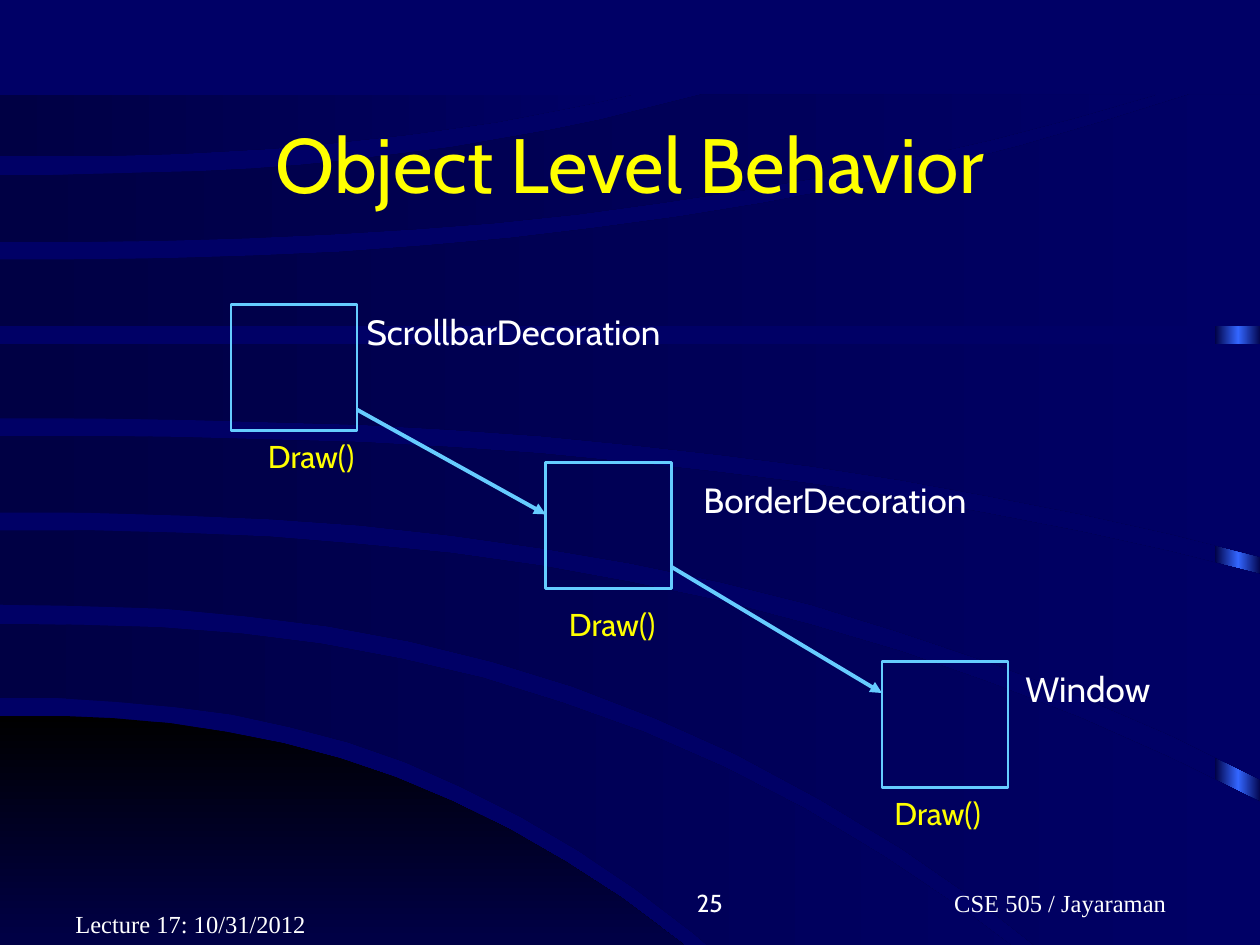
from copy import deepcopy
from dataclasses import dataclass

from pptx import Presentation
from pptx.dml.color import RGBColor
from pptx.enum.shapes import MSO_CONNECTOR, MSO_SHAPE
from pptx.enum.text import MSO_ANCHOR, MSO_AUTO_SIZE, PP_ALIGN
from pptx.oxml.ns import qn
from pptx.oxml.xmlchemy import OxmlElement
from pptx.util import Cm, Pt


@dataclass(frozen=True)
class Theme:
    background: str = "000066"
    band_dark: str = "000044"
    dome_dark: str = "000000"
    glow: str = "3366FF"
    accent: str = "66CCFF"
    text: str = "FFFFFF"
    highlight: str = "FFFF00"
    font: str = "Cabin"
    footer_font: str = "Times New Roman"
    title_size: int = 44
    label_size: int = 20
    method_size: int = 18
    footer_size: int = 14
    box_line: float = 1.5
    arrow_line: float = 2.25


THEME = Theme()
GRID = Cm(2.54) // 100  # unit of the backdrop outlines
EDGE_STEPS = 14
EDGE_POWER = 2.4

# Upper and lower edge of each outline: start height, end x, end height.
DOME = ((568, 629, 827), (827, 629, 827))
BANDS = [
    ((495, 894, 825), (554, 643, 825)),
    ((421, 1001, 637), (480, 910, 825)),
    ((346, 1001, 456), (407, 1001, 619)),
    ((273, 1001, 273), (332, 1001, 442)),
    ((206, 944, 75), (259, 1001, 259)),
    ((139, 557, 75), (192, 918, 75)),
    ((75, 502, 75), (124, 502, 75)),
]

BOX_SIDE = 2.54
# Corner of the box, place and width of its label, corner of its method, in cm.
OBJECTS = [
    ("ScrollbarDecoration", (4.66, 6.14), (7.14, 6.14, 7.11), (5.15, 8.68)),
    ("BorderDecoration", (11, 9.32), (13.93, 9.53, 6.48), (11.22, 12.07)),
    ("Window", (17.78, 13.34), (20.42, 13.34, 3.2), (17.78, 15.88)),
]
CALLS = [((7.2, 8.26), (11, 10.37)), ((13.54, 11.43), (17.78, 13.97))]


def rgb(color):
    return RGBColor.from_string(color)


def fill_gradient(shape, colors, angle=0):
    """Fill with evenly spaced colours; the angle runs counter-clockwise."""
    shape.shadow.inherit = False
    shape.line.fill.background()
    shape.fill.gradient()
    shape.fill.gradient_angle = angle
    stop_list = shape._element.spPr.find(qn("a:gradFill")).find(qn("a:gsLst"))
    for _ in colors[2:]:
        stop_list.append(deepcopy(stop_list[-1]))
    for index, (stop, color) in enumerate(zip(shape.fill.gradient_stops, colors)):
        stop.color.rgb = rgb(color)
        stop.position = index / (len(colors) - 1)


def edge_points(start_height, end_x, end_height):
    """Points of a curve that leaves the left side level and bends away."""
    shares = [step / EDGE_STEPS for step in range(EDGE_STEPS + 1)]
    return [(end_x * share, start_height + (end_height - start_height) * share ** EDGE_POWER)
            for share in shares]


def add_outline(slide, edges, colors, angle=0):
    """Draw the area between two edges, squared off where one ends earlier."""
    upper, lower = (edge_points(*edge) for edge in edges)
    (near_x, near_height), (far_x, _) = sorted([upper[-1], lower[-1]])
    points = upper + [(far_x, near_height)] * (far_x > near_x) + lower[::-1]
    builder = slide.shapes.build_freeform(*points[0], scale=GRID)
    builder.add_line_segments(points[1:], close=True)
    fill_gradient(builder.convert_to_shape(), colors, angle)


def add_backdrop(slide):
    slide.background.fill.solid()
    slide.background.fill.fore_color.rgb = rgb(THEME.background)
    strip = slide.shapes.add_shape(
        MSO_SHAPE.RECTANGLE, Cm(24.49), Cm(1.96), Cm(0.94), Cm(19.05))
    fill_gradient(strip, [THEME.band_dark, THEME.glow, THEME.band_dark])
    add_outline(slide, DOME, [THEME.dome_dark, THEME.background], 270)
    for band in BANDS:
        add_outline(slide, band, [THEME.band_dark, THEME.background])


def add_text(slide, text, place, size, color=THEME.text, font=THEME.font,
             align=PP_ALIGN.LEFT, anchor=MSO_ANCHOR.TOP, wrap=True):
    box = slide.shapes.add_textbox(*map(Cm, place))
    text_frame = box.text_frame
    text_frame.word_wrap = wrap
    text_frame.auto_size = MSO_AUTO_SIZE.NONE if wrap else MSO_AUTO_SIZE.SHAPE_TO_FIT_TEXT
    text_frame.vertical_anchor = anchor
    text_frame.text = text
    paragraph = text_frame.paragraphs[0]
    paragraph.alignment = align
    for run in paragraph.runs:
        run.font.size = Pt(size)
        run.font.name = font
        run.font.color.rgb = rgb(color)


def add_footer(slide, text, place, align, font=THEME.footer_font):
    add_text(slide, text, place, THEME.footer_size, font=font, align=align,
             anchor=MSO_ANCHOR.BOTTOM)


def add_arrow(slide, start, end):
    arrow = slide.shapes.add_connector(MSO_CONNECTOR.STRAIGHT, *map(Cm, start + end))
    arrow.line.color.rgb = rgb(THEME.accent)
    arrow.line.width = Pt(THEME.arrow_line)
    head = OxmlElement("a:tailEnd")
    head.set("type", "triangle")
    arrow._element.spPr.find(qn("a:ln")).append(head)
    arrow._element.spPr.append(OxmlElement("a:effectLst"))


def add_object(slide, name, corner, label_place, method_corner):
    """Add a square with its class name and the method it runs."""
    box = slide.shapes.add_shape(
        MSO_SHAPE.RECTANGLE, *map(Cm, corner), Cm(BOX_SIDE), Cm(BOX_SIDE))
    box.shadow.inherit = False
    box.fill.background()
    box.line.color.rgb = rgb(THEME.accent)
    box.line.width = Pt(THEME.box_line)
    add_text(slide, name, (*label_place, 1.11), THEME.label_size, wrap=False)
    add_text(slide, "Draw()", (*method_corner, 2.46, 1.02), THEME.method_size,
             THEME.highlight, wrap=False)


def main():
    presentation = Presentation()
    presentation.slide_width, presentation.slide_height = Cm(25.4), Cm(19.05)
    slide = presentation.slides.add_slide(presentation.slide_layouts[6])
    add_backdrop(slide)
    add_footer(slide, "\tCSE 505 / Jayaraman", (16.72, 17.35, 8.04, 1.27), PP_ALIGN.CENTER)
    add_footer(slide, "25", (9.53, 17.35, 5.29, 1.27), PP_ALIGN.RIGHT, THEME.font)
    add_footer(slide, "Lecture 17: 10/31/2012", (1.27, 17.78, 5.29, 1.27), PP_ALIGN.LEFT)
    add_text(slide, "Object Level Behavior", (1.9, 1.7, 21.6, 3.18), THEME.title_size,
             THEME.highlight, align=PP_ALIGN.CENTER, anchor=MSO_ANCHOR.MIDDLE)
    for start, end in CALLS:
        add_arrow(slide, start, end)
    for item in OBJECTS:
        add_object(slide, *item)
    presentation.save("out.pptx")


if __name__ == "__main__":
    main()
